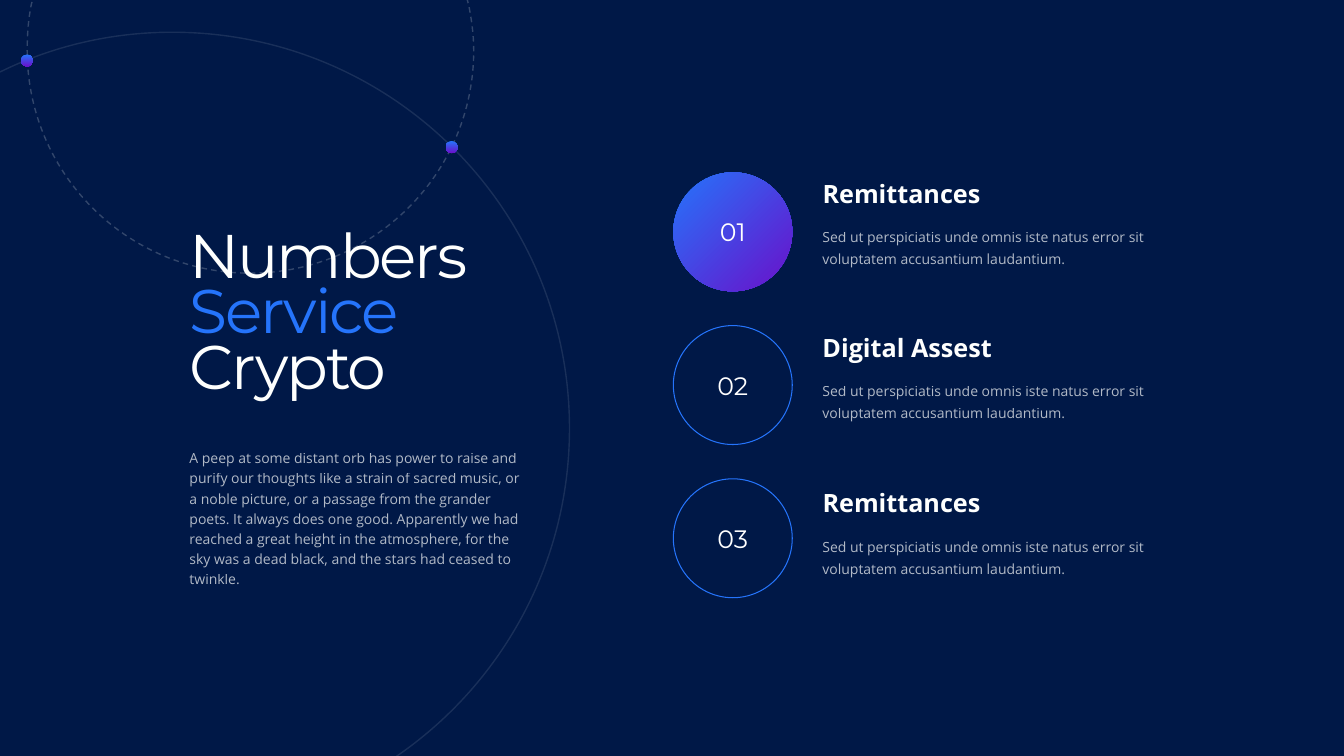
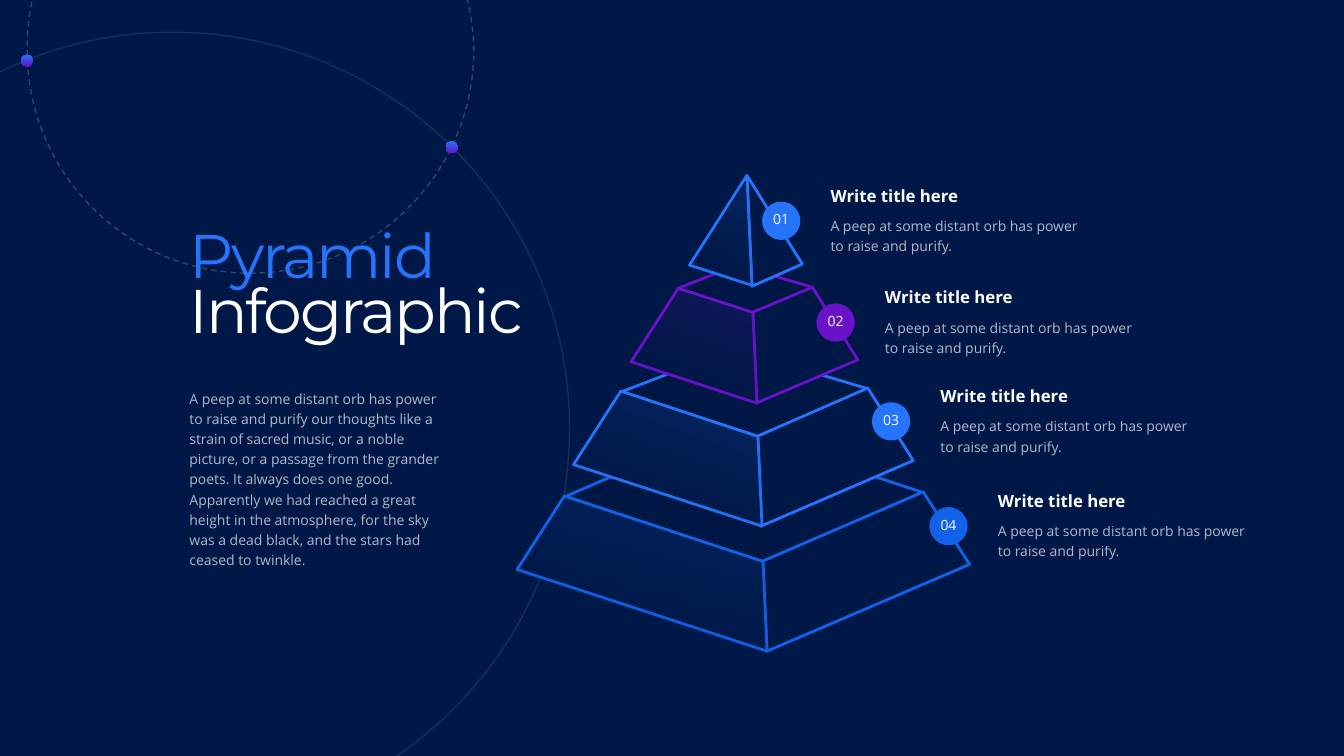
import lxml.etree
import pptx
import pptx.dml.color
import pptx.enum.dml
import pptx.enum.shapes
import pptx.enum.text
import pptx.oxml.ns
import pptx.util

Inches = pptx.util.Inches
Pt = pptx.util.Pt
qn = pptx.oxml.ns.qn

COLORS = {
    "night": "001847",
    "shade": "00102E",
    "text": "FEFFFE",
    "white": "FFFFFF",
    "blue": "2574FB",
    "deep": "1162E8",
    "purple": "6A11CA",
}
STORY = (
    "A peep at some distant orb has power to raise and purify our thoughts like a strain of "
    "sacred music, or a noble picture, or a passage from the grander poets. It always does one "
    "good. Apparently we had reached a great height in the atmosphere, for the sky was a dead "
    "black, and the stars had ceased to twinkle."
)
TEASER = "A peep at some distant orb has power to raise and purify."
SERVICE = "Sed ut perspiciatis unde omnis iste natus error sit voluptatem accusantium laudantium."

DASHED_ORBIT = [
    [(0.35, -0.1)],
    [(4.61, -0.1)],
    [(4.65, 0.05)],
    [(4.68, 0.2), (4.7, 0.35), (4.7, 0.5)],
    [(4.7, 1.72), (3.71, 2.71), (2.48, 2.71)],
    [(1.26, 2.71), (0.27, 1.72), (0.27, 0.5)],
    [(0.27, 0.35), (0.28, 0.2), (0.31, 0.05)],
]
SOLID_ORBIT = [
    [(1.71, 0.32)],
    [(3.89, 0.32), (5.65, 2.08), (5.65, 4.25)],
    [(5.65, 5.61), (4.96, 6.81), (3.91, 7.52)],
    [(3.64, 7.68)],
    [(-0.12, 7.68)],
    [(-0.12, 0.77)],
    [(0.01, 0.71)],
    [(0.52, 0.46), (1.1, 0.32), (1.71, 0.32)],
]


def rgb(name):
    return pptx.dml.color.RGBColor.from_string(COLORS[name])


def set_alpha(color_element, percent):
    alpha = lxml.etree.SubElement(color_element, qn("a:alpha"))
    alpha.set("val", str(percent * 1000))


class Deck:
    heading_font = "Montserrat"
    body_font = "Open Sans"

    def __init__(self):
        self.presentation = pptx.Presentation()
        self.presentation.slide_width = Inches(40 / 3)
        self.presentation.slide_height = Inches(7.5)
        background = self.presentation.slide_master.background.fill
        background.solid()
        background.fore_color.rgb = rgb("night")
        self.layout = self.presentation.slide_layouts[5]
        self.slide = None

    def add_slide(self):
        self.slide = self.presentation.slides.add_slide(self.layout)

    def add_backdrop(self):
        decorations = [self.orbit(DASHED_ORBIT, 20, dashed=True), self.orbit(SOLID_ORBIT, 10)]
        for left, top in ((4.42, 1.4), (0.21, 0.54)):
            dot = self.circle(left, top, 0.12)
            self.gradient(dot, "blue", "purple", 90)
            decorations.append(dot)
        for shape in decorations:
            self.layout.shapes.element.append(shape.element)

    def freeform(self, points):
        corners = [(Inches(x), Inches(y)) for x, y in points]
        builder = self.slide.shapes.build_freeform(*corners[0])
        builder.add_line_segments(corners[1:], close=True)
        shape = builder.convert_to_shape()
        shape.shadow.inherit = False
        shape.fill.background()
        shape.line.fill.background()
        return shape

    def stroke(self, shape, color, width):
        shape.line.color.rgb = rgb(color)
        shape.line.width = Pt(width)

    def orbit(self, segments, opacity, dashed=False):
        shape = self.freeform([point for segment in segments for point in segment])
        lines = iter(list(shape.element.iter(qn("a:lnTo"))))
        for segment in segments[1:]:
            curve = next(lines)
            if len(segment) == 3:
                curve.tag = qn("a:cubicBezTo")
                for control in (next(lines), next(lines)):
                    curve.append(control[0])
                    control.getparent().remove(control)
        self.stroke(shape, "text", 1)
        if dashed:
            shape.line.dash_style = pptx.enum.dml.MSO_LINE.DASH
        set_alpha(shape.element.find(".//" + qn("a:ln")).find(".//" + qn("a:srgbClr")), opacity)
        return shape

    def face(self, points, color, patterned=False):
        shape = self.freeform(points)
        if patterned:
            shape.fill.patterned()
            shape.fill.pattern = pptx.enum.dml.MSO_PATTERN.WIDE_UPWARD_DIAGONAL
            shape.fill.fore_color.rgb = rgb("shade")
            shape.fill.back_color.rgb = rgb("night")
        else:
            shape.fill.solid()
            shape.fill.fore_color.rgb = rgb("night")
        self.stroke(shape, color, 2)
        lxml.etree.SubElement(shape.element.find(".//" + qn("a:ln")), qn("a:round"))

    def glow(self, points, color, drop, angle):
        shape = self.freeform([(x, y + drop) for x, y in points])
        self.gradient(shape, color, "night", angle, (20, 0))

    def gradient(self, shape, first, last, angle, opacities=()):
        shape.fill.gradient()
        shape.fill.gradient_angle = 360 - angle
        for stop, color in zip(shape.fill.gradient_stops, (first, last)):
            stop.color.rgb = rgb(color)
        stops = shape.element.find(".//" + qn("a:gsLst")).iter(qn("a:srgbClr"))
        for color_element, opacity in zip(list(stops), opacities):
            set_alpha(color_element, opacity)

    def circle(self, left, top, size):
        shape = self.slide.shapes.add_shape(
            pptx.enum.shapes.MSO_SHAPE.OVAL, Inches(left), Inches(top), Inches(size), Inches(size)
        )
        shape.shadow.inherit = False
        shape.fill.background()
        shape.line.fill.background()
        return shape

    def number(self, shape, text, font, size, line_spacing=1.0):
        frame = shape.text_frame
        self.margins(frame, 0, 0)
        frame.vertical_anchor = pptx.enum.text.MSO_ANCHOR.MIDDLE
        paragraph = frame.paragraphs[0]
        paragraph.alignment = pptx.enum.text.PP_ALIGN.CENTER
        paragraph.line_spacing = line_spacing
        self.run(paragraph, text, font, size, "white")

    def margins(self, frame, top, bottom):
        frame.margin_left = frame.margin_right = 0
        frame.margin_top = Inches(top)
        frame.margin_bottom = Inches(bottom)

    def run(self, paragraph, text, font, size, color, bold=False, opacity=None, spacing=None):
        run = paragraph.add_run()
        run.text = text
        run.font.name = font
        run.font.size = Pt(size)
        run.font.bold = bold
        run.font.color.rgb = rgb(color)
        properties = run._r.get_or_add_rPr()
        if opacity is not None:
            set_alpha(properties.find(".//" + qn("a:srgbClr")), opacity)
        if spacing is not None:
            properties.set("spc", str(int(spacing * 100)))

    def title(self, lines):
        title = self.slide.shapes.title
        title.left, title.top = Inches(1.88), Inches(2.11)
        title.width, title.height = Inches(4.79), Inches(1.86)
        frame = title.text_frame
        frame.word_wrap = True
        frame.auto_size = pptx.enum.text.MSO_AUTO_SIZE.NONE
        frame.vertical_anchor = pptx.enum.text.MSO_ANCHOR.TOP
        self.margins(frame, 0.21, 0)
        paragraph = frame.paragraphs[0]
        paragraph.alignment = pptx.enum.text.PP_ALIGN.LEFT
        paragraph.line_spacing = 0.75
        for index, (text, color) in enumerate(lines):
            if index:
                paragraph.add_line_break()
            self.run(paragraph, text, self.heading_font, 44, color, spacing=-1.5)

    def text(self, left, top, width, height, body=None, heading=None,
             heading_size=12, line_spacing=1.2, wrap=True):
        box = self.slide.shapes.add_textbox(
            Inches(left), Inches(top), Inches(width), Inches(height)
        )
        frame = box.text_frame
        frame.word_wrap = wrap
        frame.auto_size = pptx.enum.text.MSO_AUTO_SIZE.SHAPE_TO_FIT_TEXT
        self.margins(frame, 0.05, 0.05)
        paragraph = frame.paragraphs[0]
        paragraph.line_spacing = line_spacing
        if heading:
            self.run(paragraph, heading, self.body_font, heading_size, "text", bold=True)
        if heading and body:
            paragraph = frame.add_paragraph()
            paragraph.line_spacing = line_spacing
            paragraph.space_before = Pt(6)
        if body:
            self.run(paragraph, body, self.body_font, 10, "text", opacity=70)

    def service(self, index, heading, top, width):
        circle = self.circle(6.68, 1.71 + 1.52 * index, 1.18)
        if index == 0:
            self.gradient(circle, "blue", "purple", 45)
        else:
            self.stroke(circle, "blue", 0.75)
        self.number(circle, f"{index + 1:02d}", self.heading_font, 18)
        self.text(8.16, top, width, 0.4, heading=heading, heading_size=18,
                  line_spacing=1.0, wrap=False)
        self.text(8.16, top + 0.45, 3.6, 0.54, SERVICE, line_spacing=1.3)

    def tier(self, color, top, right_side, left_side):
        if top:
            self.face(top, color, patterned=True)
        self.face(right_side, color)
        self.face(left_side, color)

    def tier_label(self, number, color, left, top):
        badge = self.circle(left, top, 0.38)
        badge.fill.solid()
        badge.fill.fore_color.rgb = rgb(color)
        self.number(badge, f"{number:02d}", self.body_font, 10, 0.8)
        self.text(left + 0.68, top - 0.25, 2.6, 0.83, TEASER, "Write title here")


def build_services(deck):
    deck.title([("Numbers", "text"), ("Service", "blue"), ("Crypto", "text")])
    services = [
        ("Remittances", 1.72, 1.58),
        ("Digital Assest", 3.25, 1.7),
        ("Remittances", 4.79, 1.58),
    ]
    for index, service in enumerate(services):
        deck.service(index, *service)
    deck.text(1.88, 4.38, 3.28, 1.51, STORY)


def build_pyramid(deck):
    deck.title([("Pyramid", "blue"), ("Infographic", "text")])
    tiers = [
        ("deep",
         [(5.6, 4.93), (7.19, 4.24), (9.17, 4.89), (7.58, 5.72)],
         [(9.16, 4.88), (7.56, 5.57), (7.61, 6.46), (9.62, 5.6)],
         [(7.57, 5.57), (7.61, 6.46), (5.13, 5.65), (5.6, 4.92)]),
        ("blue",
         [(6.16, 3.89), (7.28, 3.46), (8.62, 3.86), (7.52, 4.33)],
         [(8.61, 3.85), (7.51, 4.33), (7.55, 5.22), (9.06, 4.57)],
         [(7.56, 5.22), (7.52, 4.33), (6.16, 3.88), (5.69, 4.61)]),
        ("purple",
         [(6.73, 2.86), (7.31, 2.63), (8.06, 2.85), (7.48, 3.2)],
         [(8.06, 2.85), (7.46, 3.1), (7.5, 4), (8.51, 3.57)],
         [(7.51, 4), (7.47, 3.1), (6.73, 2.86), (6.26, 3.59)]),
        ("blue", None,
         [(7.41, 1.74), (7.46, 2.84), (7.96, 2.62)],
         [(7.46, 2.83), (6.84, 2.63), (7.41, 1.74)]),
    ]
    for tier in tiers:
        deck.tier(*tier)
    labels = [("blue", 7.56, 2), ("purple", 8.1, 3.01), ("blue", 8.65, 3.99), ("deep", 9.22, 5.03)]
    for number, label in enumerate(labels, 1):
        deck.tier_label(number, *label)
    glows = [(0.04, 110), (0.01, 110), (0.01, 110), (0.02, 105)]
    for (color, *_, left_side), (drop, angle) in zip(reversed(tiers), glows):
        deck.glow(left_side, color, drop, angle)
    deck.text(1.88, 3.79, 2.57, 1.92, STORY)


def main():
    deck = Deck()
    deck.add_slide()
    deck.add_backdrop()
    build_services(deck)
    deck.add_slide()
    build_pyramid(deck)
    deck.presentation.save("out.pptx")


if __name__ == "__main__":
    main()
